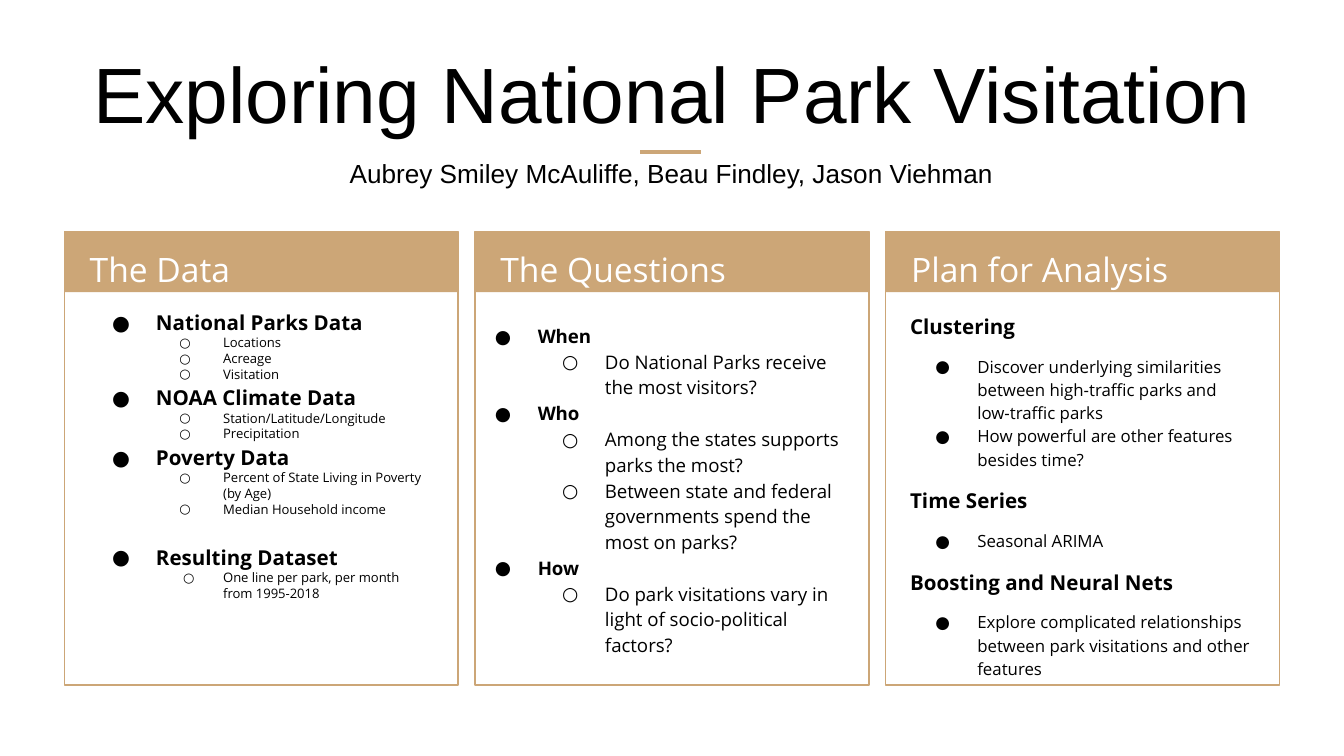
from dataclasses import dataclass

from lxml import etree
from pptx import Presentation
from pptx import util as u
from pptx.dml.color import RGBColor
from pptx.enum import shapes, text
from pptx.oxml import ns


@dataclass(frozen=True)
class Theme:
    accent: str = "CCA677"
    ink: str = "000000"
    white: str = "FFFFFF"
    display_font: str = "Arial"
    body_font: str = "Open Sans"
    title_size: float = 42
    author_size: float = 14
    header_size: float = 18


@dataclass(frozen=True)
class Style:
    """Look of one kind of paragraph, lengths in points."""
    size: float
    bold: bool = False
    bullet: str = ""
    margin: float = 0
    hang: float = 0
    spacing: float = 1.15
    before: float = 0


class SlideBuilder:
    def __init__(self, slide, theme):
        self.slide = slide
        self.theme = theme

    def box(self, shape_list, left, top, width, height, fill=None, line=None):
        shape = shape_list.add_shape(shapes.MSO_SHAPE.RECTANGLE, u.Pt(left), u.Pt(top),
                                     u.Pt(width), u.Pt(height))
        shape.shadow.inherit = False
        if fill:
            shape.fill.solid()
            shape.fill.fore_color.rgb = RGBColor.from_string(fill)
        else:
            shape.fill.background()
        if line:
            shape.line.color.rgb = RGBColor.from_string(line)
            shape.line.width = u.Pt(0.75)
        else:
            shape.line.fill.background()

    def card(self, left, top, width, height, header_height):
        group = self.slide.shapes.add_group_shape()
        self.box(group.shapes, left, top, width, height, line=self.theme.accent)
        self.box(group.shapes, left, top, width, header_height, fill=self.theme.accent)

    def rule(self, left, top, width):
        line = self.slide.shapes.add_connector(
            shapes.MSO_CONNECTOR.STRAIGHT, u.Pt(left), u.Pt(top), u.Pt(left + width), u.Pt(top))
        line.line.color.rgb = RGBColor.from_string(self.theme.accent)
        line.line.width = u.Pt(2.25)
        etree.SubElement(line._element.spPr, ns.qn("a:effectLst"))

    def text(self, left, top, width, height, items, font, color,
             align=text.PP_ALIGN.LEFT, anchor=text.MSO_ANCHOR.TOP):
        """Items are pairs of a style and the wording of one paragraph."""
        frame = self.slide.shapes.add_textbox(
            u.Pt(left), u.Pt(top), u.Pt(width), u.Pt(height)).text_frame
        frame.word_wrap = True
        frame.vertical_anchor = anchor
        frame.margin_left = frame.margin_right = u.Pt(7.2)
        frame.margin_top = frame.margin_bottom = u.Pt(7.2)
        frame.text = "\n".join(wording for _, wording in items)
        for paragraph, (style, _) in zip(frame.paragraphs, items):
            paragraph.alignment = align
            paragraph.line_spacing = style.spacing
            paragraph.space_before = u.Pt(style.before)
            if style.bullet:
                self.bullet(paragraph, style)
            for run in paragraph.runs:
                run.font.name = font
                run.font.size = u.Pt(style.size)
                run.font.bold = style.bold
                run.font.color.rgb = RGBColor.from_string(color)

    def bullet(self, paragraph, style):
        paragraph.level = 1 if style.margin > 36 else 0
        properties = paragraph._p.get_or_add_pPr()
        properties.set("marL", str(u.Pt(style.margin)))
        properties.set("indent", str(-u.Pt(style.hang)))
        color = etree.SubElement(properties, ns.qn("a:buClr"))
        etree.SubElement(color, ns.qn("a:srgbClr"), val=self.theme.ink)
        etree.SubElement(properties, ns.qn("a:buFont"), typeface=self.theme.body_font)
        etree.SubElement(properties, ns.qn("a:buChar"), char=style.bullet)


theme = Theme()
presentation = Presentation()
presentation.slide_width = u.Pt(720)
presentation.slide_height = u.Pt(405)
slide = presentation.slides.add_slide(presentation.slide_layouts[6])
builder = SlideBuilder(slide, theme)

# Title, rule and authors
builder.text(24.5, 16, 671, 65.5,
             [(Style(theme.title_size, spacing=1), "Exploring National Park Visitation")],
             theme.display_font, theme.ink, text.PP_ALIGN.CENTER, text.MSO_ANCHOR.BOTTOM)
builder.rule(343, 81.5, 32.5)
builder.text(178, 77, 363.5, 36.5,
             [(Style(theme.author_size, spacing=1),
               "Aubrey Smiley McAuliffe, Beau Findley, Jason Viehman")],
             theme.display_font, theme.ink, text.PP_ALIGN.CENTER)

# Paragraph styles of the three columns
DOT, RING = "●", "○"
data_first = Style(11, True, DOT, 36, 23.5, 1)
data_topic = Style(11, True, DOT, 36, 23.5)
data_result = Style(11, True, DOT, 36, 23.5, 1, before=15)
data_detail = Style(7, False, RING, 72, 23.5, 1)
data_result_detail = Style(7, False, RING, 72, 21.5, 1)
question_topic = Style(10, True, DOT, 36, 23)
question = Style(10, False, RING, 72, 23)
plan_first = Style(11, True)
plan_topic = Style(11, True, before=8)
plan_step = Style(9, False, DOT, 36, 22.5, before=8)
plan_next_step = Style(9, False, DOT, 36, 22.5)

# Column heading, body box (left, top, width, height) and body paragraphs
columns = [
    ("The Data", (40.5, 159, 196.5, 201.5), [
        (data_first, "National Parks Data"),
        (data_detail, "Locations"),
        (data_detail, "Acreage"),
        (data_detail, "Visitation"),
        (data_topic, "NOAA Climate Data"),
        (data_detail, "Station/Latitude/Longitude"),
        (data_detail, "Precipitation"),
        (data_topic, "Poverty Data"),
        (data_detail, "Percent of State Living in Poverty (by Age)"),
        (data_detail, "Median Household income"),
        (data_result, "Resulting Dataset"),
        (data_result_detail, "One line per park, per month from 1995-2018"),
    ]),
    ("The Questions", (245, 165, 220.5, 201.5), [
        (question_topic, "When"),
        (question, "Do National Parks receive the most visitors?"),
        (question_topic, "Who"),
        (question, "Among the states supports parks the most?"),
        (question, "Between state and federal governments spend the most on parks?"),
        (question_topic, "How"),
        (question, "Do park visitations vary in light of socio-political factors?"),
    ]),
    ("Plan for Analysis", (480.5, 159, 196.5, 210), [
        (plan_first, "Clustering"),
        (plan_step, "Discover underlying similarities between high-traffic parks "
                    "and low-traffic parks"),
        (plan_next_step, "How powerful are other features besides time?"),
        (plan_topic, "Time Series"),
        (plan_step, "Seasonal ARIMA"),
        (plan_topic, "Boosting and Neural Nets"),
        (plan_step, "Explore complicated relationships between park visitations "
                    "and other features"),
    ]),
]

# Cards, spaced evenly
CARD_LEFT, CARD_STEP, CARD_TOP = 34.5, 220, 124
CARD_WIDTH, CARD_HEIGHT, HEADER_HEIGHT = 211, 243, 32.5
for index, (heading, body_box, body) in enumerate(columns):
    left = CARD_LEFT + index * CARD_STEP
    builder.card(left, CARD_TOP, CARD_WIDTH, CARD_HEIGHT, HEADER_HEIGHT)
    builder.text(left + 6.5, CARD_TOP - 1, 196, HEADER_HEIGHT,
                 [(Style(theme.header_size), heading)], theme.body_font, theme.white)
    builder.text(*body_box, body, theme.body_font, theme.ink)

presentation.save("out.pptx")
